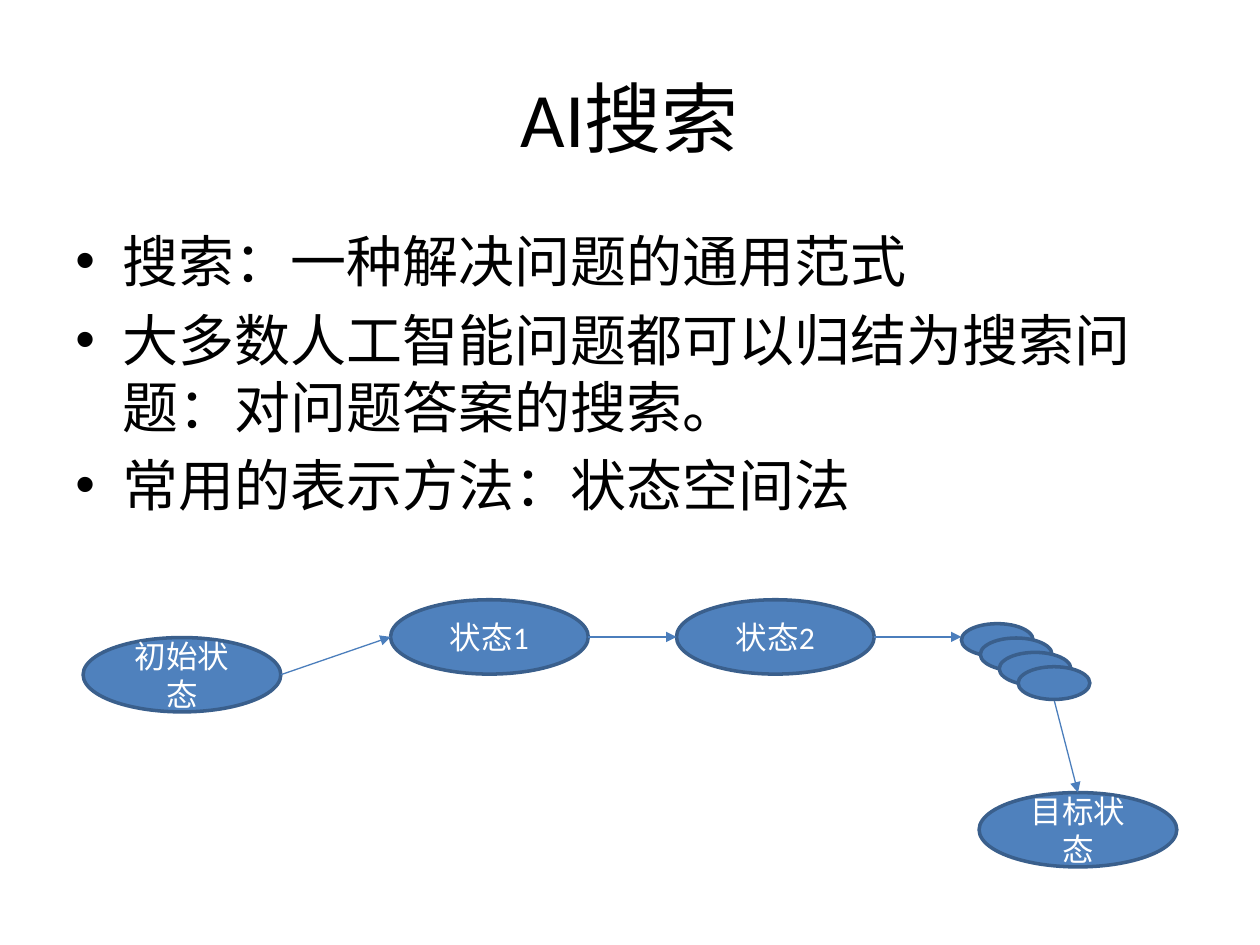
from lxml import etree
from pptx import Presentation
from pptx.dml.color import RGBColor
from pptx.enum.shapes import MSO_CONNECTOR, MSO_SHAPE
from pptx.enum.text import MSO_ANCHOR, PP_ALIGN
from pptx.oxml.ns import qn
from pptx.util import Pt

OVAL = MSO_SHAPE.OVAL
STRAIGHT = MSO_CONNECTOR.STRAIGHT
CENTER = PP_ALIGN.CENTER
MIDDLE = MSO_ANCHOR.MIDDLE
TOP = MSO_ANCHOR.TOP

FONT = "Calibri"
COLORS = {
    "background": "FFFFFF",
    "text": "000000",
    "oval": "4F81BD",
    "outline": "3A5F8C",
    "arrow": "4B7EBC",
    "label": "FFFFFF",
}
TITLE = "AI搜索"
BULLETS = [
    "搜索：一种解决问题的通用范式",
    "大多数人工智能问题都可以归结为搜索问题：对问题答案的搜索。",
    "常用的表示方法：状态空间法",
]
TITLE_BOX = (36, 21.6, 648, 90)
BODY_BOX = (36, 126, 648, 356.4)
DIAGRAM_BOX = (47.5, 342.7, 625, 152.7)
STATE_SIZE = (113, 42.5)
STEP_SIZE = (41, 18.7)


def color(name):
    """Return the named colour."""
    return RGBColor.from_string(COLORS[name])


def format_paragraph(paragraph, size, color_name):
    """Set the font of every run in a paragraph."""
    for run in paragraph.runs:
        run.font.name = FONT
        run.font.size = Pt(size)
        run.font.color.rgb = color(color_name)


def add_title(slide, box):
    """Place and format the title placeholder."""
    title = slide.shapes.title
    title.left, title.top, title.width, title.height = map(Pt, box)
    title.text_frame.text = TITLE
    title.text_frame.vertical_anchor = MIDDLE
    paragraph = title.text_frame.paragraphs[0]
    paragraph.alignment = CENTER
    format_paragraph(paragraph, 44, "text")


def add_bullets(slide, box):
    """Add the bulleted statements."""
    frame = slide.shapes.add_textbox(*map(Pt, box)).text_frame
    frame.word_wrap = True
    frame.vertical_anchor = TOP
    frame.text = "\n".join(BULLETS)
    for paragraph in frame.paragraphs:
        paragraph.space_before = Pt(6.4)
        format_paragraph(paragraph, 32, "text")
        properties = paragraph._p.get_or_add_pPr()
        properties.set("marL", str(Pt(27)))
        properties.set("indent", str(Pt(-27)))
        etree.SubElement(properties, qn("a:buFont"), typeface="Arial")
        etree.SubElement(properties, qn("a:buChar"), char="•")


def add_oval(slide, left, top, size, label=""):
    """Add an outlined oval with an optional centred label."""
    shape = slide.shapes.add_shape(OVAL, Pt(left), Pt(top), *map(Pt, size))
    shape.shadow.inherit = False
    shape.fill.solid()
    shape.fill.fore_color.rgb = color("oval")
    shape.line.color.rgb = color("outline")
    shape.line.width = Pt(2)
    if label:
        shape.text_frame.text = label
        shape.text_frame.word_wrap = True
        shape.text_frame.vertical_anchor = MIDDLE
        paragraph = shape.text_frame.paragraphs[0]
        paragraph.alignment = CENTER
        format_paragraph(paragraph, 18, "label")


def add_arrow(slide, start, end):
    """Add a thin arrow from start to end."""
    connector = slide.shapes.add_connector(STRAIGHT, *map(Pt, start + end))
    connector.line.color.rgb = color("arrow")
    connector.line.width = Pt(0.75)
    etree.SubElement(connector.line._get_or_add_ln(), qn("a:tailEnd"), type="triangle")
    etree.SubElement(connector._element.spPr, qn("a:effectLst"))


def add_state_diagram(slide, box):
    """Draw the path from the initial state to the goal state."""
    left, top, width, height = box
    state_width, state_height = STATE_SIZE
    step_width, step_height = STEP_SIZE
    first_left = left + 175.7
    second_left = first_left + 163.4
    start_top = top + 21.6
    goal_left = left + width - state_width
    goal_top = top + height - state_height
    states = [
        ("状态1", first_left, top),
        ("状态2", second_left, top),
        ("初始状态", left, start_top),
        ("目标状态", goal_left, goal_top),
    ]
    for label, state_left, state_top in states:
        add_oval(slide, state_left, state_top, STATE_SIZE, label)

    steps = [(left + 501.9 + 10.8 * i, top + 13.7 + 8.2 * i) for i in range(4)]
    last_left, last_top = steps[-1]
    middle = top + state_height / 2
    arrows = [
        ((left + state_width, start_top + state_height / 2), (first_left, middle)),
        ((first_left + state_width, middle), (second_left, middle)),
        ((second_left + state_width, middle), (steps[0][0], middle)),
        (
            (last_left + step_width / 2, last_top + step_height),
            (goal_left + state_width / 2, goal_top),
        ),
    ]
    for start, end in arrows:
        add_arrow(slide, start, end)
    for step_left, step_top in steps:
        add_oval(slide, step_left, step_top, STEP_SIZE)


def main():
    """Build and save the presentation."""
    presentation = Presentation()
    presentation.slide_width = Pt(720)
    presentation.slide_height = Pt(540)
    slide = presentation.slides.add_slide(presentation.slide_layouts[5])
    slide.background.fill.solid()
    slide.background.fill.fore_color.rgb = color("background")
    add_title(slide, TITLE_BOX)
    add_bullets(slide, BODY_BOX)
    add_state_diagram(slide, DIAGRAM_BOX)
    presentation.save("out.pptx")


if __name__ == "__main__":
    main()
